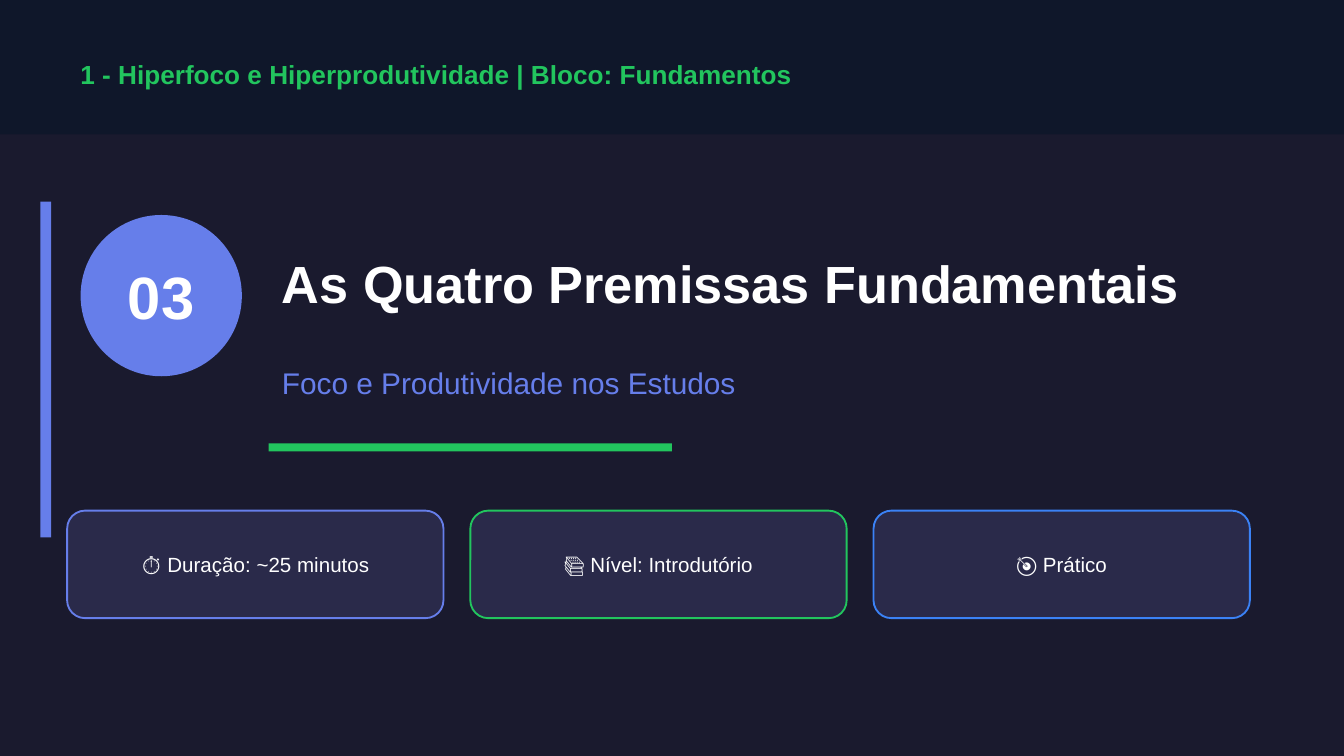
from dataclasses import dataclass
from typing import Optional

import pptx
import pptx.dml.color
import pptx.enum.shapes
import pptx.enum.text
import pptx.util

RGBColor = pptx.dml.color.RGBColor
Shape = pptx.enum.shapes.MSO_SHAPE
Align = pptx.enum.text.PP_ALIGN

EMU_PER_PX = 4572  # 200 px to the inch

NIGHT = RGBColor(0x1A, 0x1A, 0x2E)
NAVY = RGBColor(0x0F, 0x17, 0x2A)
CARD = RGBColor(0x2A, 0x2A, 0x4A)
INDIGO = RGBColor(0x66, 0x7E, 0xEA)
GREEN = RGBColor(0x22, 0xC5, 0x5E)
BLUE = RGBColor(0x3B, 0x82, 0xF6)
WHITE = RGBColor(0xFF, 0xFF, 0xFF)


@dataclass(frozen=True)
class Area:
    left: int
    top: int
    width: int
    height: int

    def emu(self) -> list[int]:
        lengths = (self.left, self.top, self.width, self.height)
        return [length * EMU_PER_PX for length in lengths]


@dataclass(frozen=True)
class Panel:
    area: Area
    fill: RGBColor
    kind: Shape = Shape.RECTANGLE
    outline: Optional[RGBColor] = None


@dataclass(frozen=True)
class Label:
    area: Area
    text: str
    size: int
    color: RGBColor
    bold: bool = False
    align: Align = Align.LEFT


def draw_panel(page, panel: Panel) -> None:
    shape = page.shapes.add_shape(panel.kind, *panel.area.emu())
    shape.shadow.inherit = False
    shape.fill.solid()
    shape.fill.fore_color.rgb = panel.fill
    if panel.outline is None:
        shape.line.fill.background()
    else:
        shape.line.color.rgb = panel.outline
        shape.line.width = pptx.util.Pt(1)


def draw_label(page, label: Label) -> None:
    box = page.shapes.add_textbox(*label.area.emu())
    frame = box.text_frame
    frame.word_wrap = True
    frame.vertical_anchor = pptx.enum.text.MSO_ANCHOR.MIDDLE
    para = frame.paragraphs[0]
    para.alignment = label.align
    span = para.add_run()
    span.text = label.text
    span.font.color.rgb = label.color
    font_format = {"name": "Arial", "size": pptx.util.Pt(label.size), "bold": label.bold}
    for name, value in font_format.items():
        setattr(span.font, name, value)


def main() -> None:
    deck = pptx.Presentation()
    deck.slide_width = 2000 * EMU_PER_PX
    deck.slide_height = 1125 * EMU_PER_PX
    page = deck.slides.add_slide(deck.slide_layouts[6])
    page.background.fill.solid()
    page.background.fill.fore_color.rgb = NIGHT

    # Header band
    draw_panel(page, Panel(Area(0, 0, 2000, 200), NAVY))
    draw_label(page, Label(Area(100, 70, 1800, 80),
                           "1 - Hiperfoco e Hiperprodutividade | Bloco: Fundamentos",
                           14, GREEN, bold=True))

    # Side bar and lesson number
    draw_panel(page, Panel(Area(60, 300, 16, 500), INDIGO))
    draw_panel(page, Panel(Area(120, 320, 240, 240), INDIGO, Shape.OVAL))
    draw_label(page, Label(Area(120, 370, 240, 140), "03", 32, WHITE,
                           bold=True, align=Align.CENTER))

    # Title, subtitle and underline
    draw_label(page, Label(Area(400, 320, 1500, 200),
                           "As Quatro Premissas Fundamentais", 28, WHITE, bold=True))
    draw_label(page, Label(Area(400, 520, 1500, 100),
                           "Foco e Produtividade nos Estudos", 16, INDIGO))
    draw_panel(page, Panel(Area(400, 660, 600, 12), GREEN))

    # Information cards
    cards = [
        ("⏱ Duração: ~25 minutos", INDIGO),
        ("📚 Nível: Introdutório", GREEN),
        ("🎯 Prático", BLUE),
    ]
    width, gap = 560, 40
    for index, (text, outline) in enumerate(cards):
        left = 100 + index * (width + gap)
        draw_panel(page, Panel(Area(left, 760, width, 160), CARD,
                               Shape.ROUNDED_RECTANGLE, outline))
        draw_label(page, Label(Area(left, 790, width, 100), text, 11, WHITE,
                               align=Align.CENTER))

    deck.save("out.pptx")


if __name__ == "__main__":
    main()
